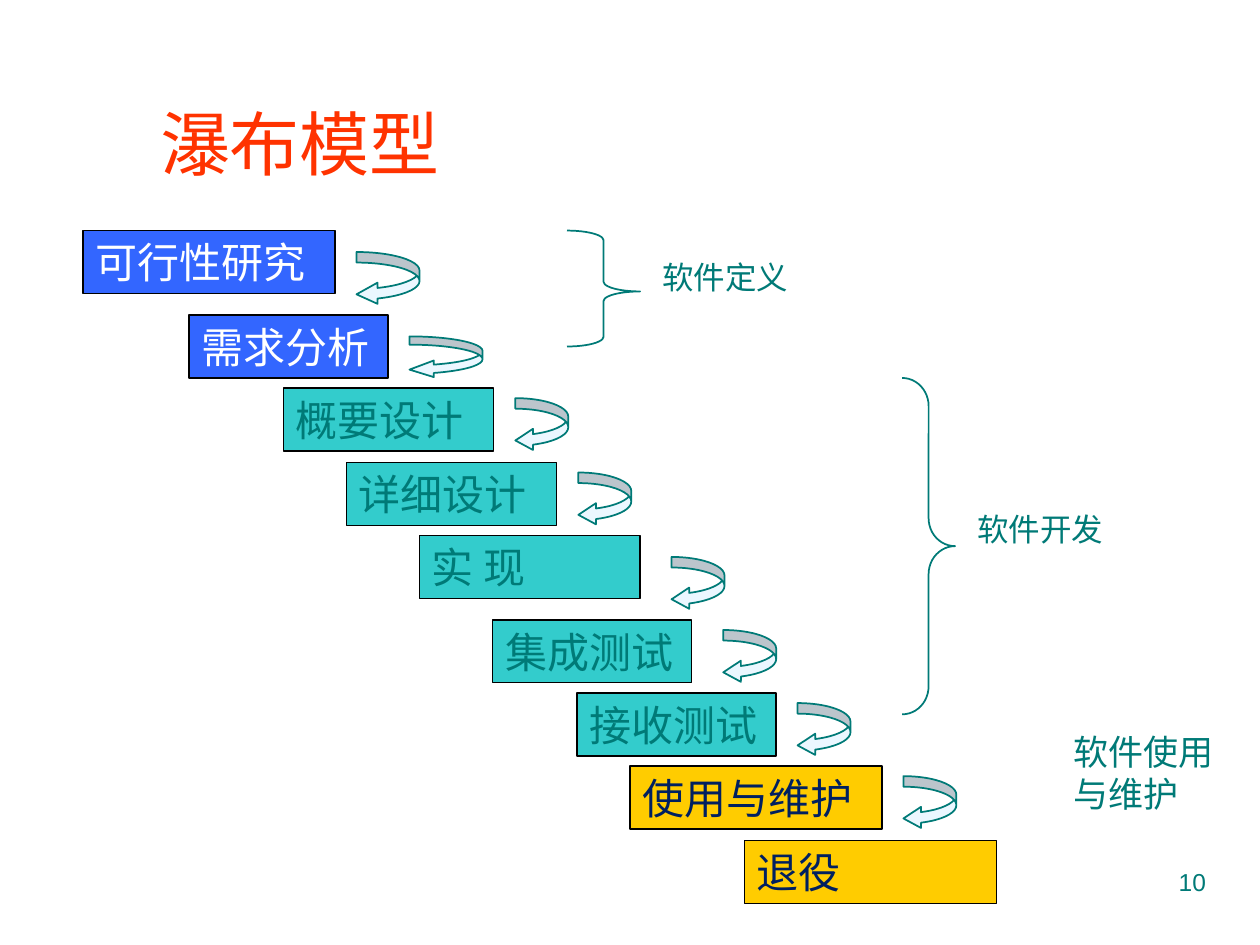
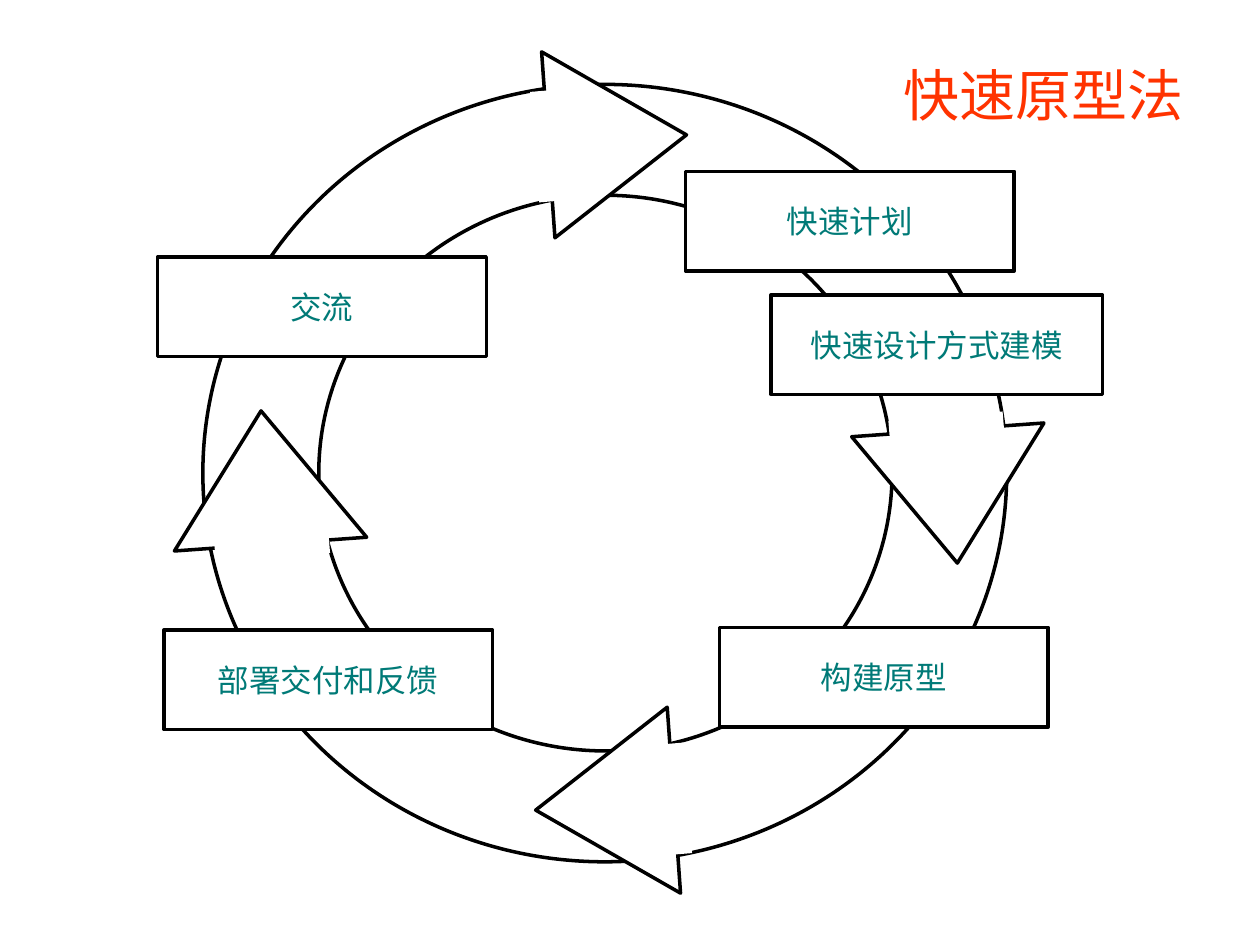
import math

from lxml import etree
from pptx import Presentation
from pptx import util as u
from pptx.dml.color import RGBColor
from pptx.enum import shapes, text
from pptx.oxml.ns import qn

C = {"title": "FF3300", "teal": "007A77", "white": "FFFFFF", "black": "000000",
     "define": "3366FF", "develop": "33CCCC", "operate": "FFCC00",
     "navy": "002060", "arrow": "EBF7FF"}
CJK = "Noto Sans CJK SC"
SHAPE = shapes.MSO_SHAPE
TOP, MIDDLE = text.MSO_ANCHOR.TOP, text.MSO_ANCHOR.MIDDLE
LEFT, CENTER, RIGHT = text.PP_ALIGN.LEFT, text.PP_ALIGN.CENTER, text.PP_ALIGN.RIGHT


def inches(*lengths):
    return [u.Inches(v) for v in lengths]


def write(sp, words, size, color, font="Arial", align=LEFT, anchor=TOP,
          side=0.1, wrap=True):
    """Fill the text frame of a shape with one run."""
    tf = sp.text_frame
    tf.auto_size = text.MSO_AUTO_SIZE.NONE
    tf.word_wrap = wrap
    tf.vertical_anchor = anchor
    tf.margin_left = tf.margin_right = u.Inches(side)
    tf.margin_top = tf.margin_bottom = u.Inches(0.05)
    p = tf.paragraphs[0]
    p.alignment = align
    r = p.add_run()
    r.text = words
    r.font.size = u.Pt(size)
    r.font.name = font
    r.font.color.rgb = RGBColor.from_string(C[color])
    latin = r.font._element.find(qn("a:latin"))
    ea = etree.Element(qn("a:ea"), typeface=CJK)
    latin.addnext(ea)


def shape(parent, kind, box, fill=None, line=None, width=1.0, adj=()):
    sp = parent.shapes.add_shape(kind, *inches(*box))
    sp.shadow.inherit = False
    if fill:
        sp.fill.solid()
        sp.fill.fore_color.rgb = RGBColor.from_string(C[fill])
    else:
        sp.fill.background()
    if line:
        sp.line.color.rgb = RGBColor.from_string(C[line])
        sp.line.width = u.Pt(width)
    else:
        sp.line.fill.background()
    for i, value in enumerate(adj):
        sp.adjustments[i] = value
    return sp


def label(s, box, words, size, align=LEFT):
    write(s.shapes.add_textbox(*inches(*box)), words, size, "teal", align=align)


def titled_slide(prs, words, box, size, font, **layout):
    s = prs.slides.add_slide(prs.slide_layouts[5])
    sp = s.shapes.title
    sp.left, sp.top, sp.width, sp.height = inches(*box)
    write(sp, words, size, "title", font, **layout)
    return s


def staircase(s, x, y):
    """Steps of the waterfall, each followed by an arrow down to the next."""
    phases = {"define": "white", "develop": "teal", "operate": "navy"}
    # words, phase, left, top, width, arrow gap, arrow drop, arrow size
    small = (0.42, 0.42)
    steps = [
        ("可行性研究", "define", 0, 0, 2, 0.17, 0.17, (0.5, 0.42)),
        ("需求分析", "define", 0.84, 0.67, 1.58, 0.17, 0.17, (0.58, 0.33)),
        ("概要设计", "develop", 1.59, 1.25, 1.67, 0.17, 0.08, small),
        ("详细设计", "develop", 2.09, 1.84, 1.67, 0.17, 0.08, small),
        ("实 现", "develop", 2.67, 2.42, 1.75, 0.25, 0.17, small),
        ("集成测试", "develop", 3.25, 3.09, 1.58, 0.25, 0.08, small),
        ("接收测试", "develop", 3.92, 3.67, 1.58, 0.17, 0.08, small),
        ("使用与维护", "operate", 4.34, 4.25, 2, 0.17, 0.08, small),
        ("退役", "operate", 5.25, 4.84, 2, 0, 0, None),
    ]
    for words, phase, dx, dy, w, gap, drop, arrow in steps:
        sp = shape(s, SHAPE.RECTANGLE, (x + dx, y + dy, w, 0.5), phase, "black", 0.75)
        write(sp, words, 24, phases[phase])
        if arrow:
            head = arrow[0] / 3 / min(arrow)
            shape(s, SHAPE.CURVED_LEFT_ARROW,
                  (x + dx + w + gap, y + dy + drop, *arrow),
                  "arrow", "teal", adj=(0.2, 0.4, head))


def phase_braces(s, x, y):
    """Braces and names that gather the steps into phases."""
    for dx, dy, w, h, point in [(3.84, 0, 0.58, 0.92, 0.525),
                                (6.5, 1.17, 0.42, 2.67, 0.5)]:
        shape(s, SHAPE.RIGHT_BRACE, (x + dx, y + dy, w, h), None, "teal",
              adj=(h / 12 / w, point))
    label(s, (x + 4.5, y + 0.17, 2, 0.4), "软件定义", 18)
    label(s, (x + 7, y + 2.17, 2, 0.4), "软件开发", 18)
    label(s, (x + 7.76, y + 3.92, 1.33, 0.77), "软件使用与维护", 20)


def arrow_head(g, cx, cy, w, h, shaft, turn):
    """Triangle on the ring, with a white patch that opens its base."""
    def turned(kind, mx, my, pw, ph, angle, line):
        sp = shape(g, kind, (mx - pw / 2, my - ph / 2, pw, ph), "white", line, 2)
        sp.rotation = angle

    turned(SHAPE.ISOSCELES_TRIANGLE, cx, cy, w, h, turn, "black")
    a, dx, dy = math.radians(turn), 0.01, h / 2 + 0.02
    turned(SHAPE.RECTANGLE, cx + dx * math.cos(a) - dy * math.sin(a),
           cy + dx * math.sin(a) + dy * math.cos(a), shaft, 0.18, turn - 0.6, None)


def prototype_cycle(s, x, y, w, h):
    g = s.shapes.add_group_shape()
    # Ring
    for dx, dy, rw, rh in [(0, 0, w, h), (0.92, 0.88, 4.55, 4.41)]:
        shape(g, SHAPE.OVAL, (x + dx, y + dy, rw, rh), None, "black", 2)
    # Arrow heads: left, bottom, right, top
    upright, sideways = (1.53, 1.06, 0.91), (1.48, 1.1, 0.88)
    for dx, dy, size, turn in [(0.5, 3.12, upright, 355.9),
                               (3.19, 5.72, sideways, 265.9),
                               (5.95, 3.27, upright, 175.9),
                               (3.29, 0.44, sideways, 85.9)]:
        arrow_head(g, x + dx, y + dy, *size, turn)
    # Stages
    for words, dx, dy, bw, side in [("部署交付和反馈", -0.31, 4.33, 2.61, 0.1),
                                    ("构建原型", 4.1, 4.31, 2.61, 0.1),
                                    ("交流", -0.36, 1.37, 2.61, 0.1),
                                    ("快速设计方式建模", 4.51, 1.67, 2.63, 0.02),
                                    ("快速计划", 3.83, 0.69, 2.61, 0.1)]:
        sp = shape(g, SHAPE.RECTANGLE, (x + dx, y + dy, bw, 0.79), "white", "black", 2)
        write(sp, words, 18, "teal", "Times New Roman", CENTER, MIDDLE, side)


def main():
    prs = Presentation()
    prs.slide_width, prs.slide_height = inches(10, 7.5)

    # Waterfall model
    s = titled_slide(prs, "瀑布模型", (1.17, 0.75, 9.25, 0.77), 40, CJK,
                     align=text.PP_ALIGN.JUSTIFY)
    staircase(s, 0.66, 1.83)
    phase_braces(s, 0.66, 1.83)
    label(s, (7.17, 6.83, 2.5, 0.52), "10", 14, RIGHT)

    # Rapid prototyping
    s = titled_slide(prs, "快速原型法", (6.89, 0.5, 2.78, 0.5), 32, "Times New Roman",
                     align=CENTER, anchor=MIDDLE, wrap=False)
    prototype_cycle(s, 1.61, 0.67, 6.38, 6.17)

    prs.save("out.pptx")


if __name__ == "__main__":
    main()
